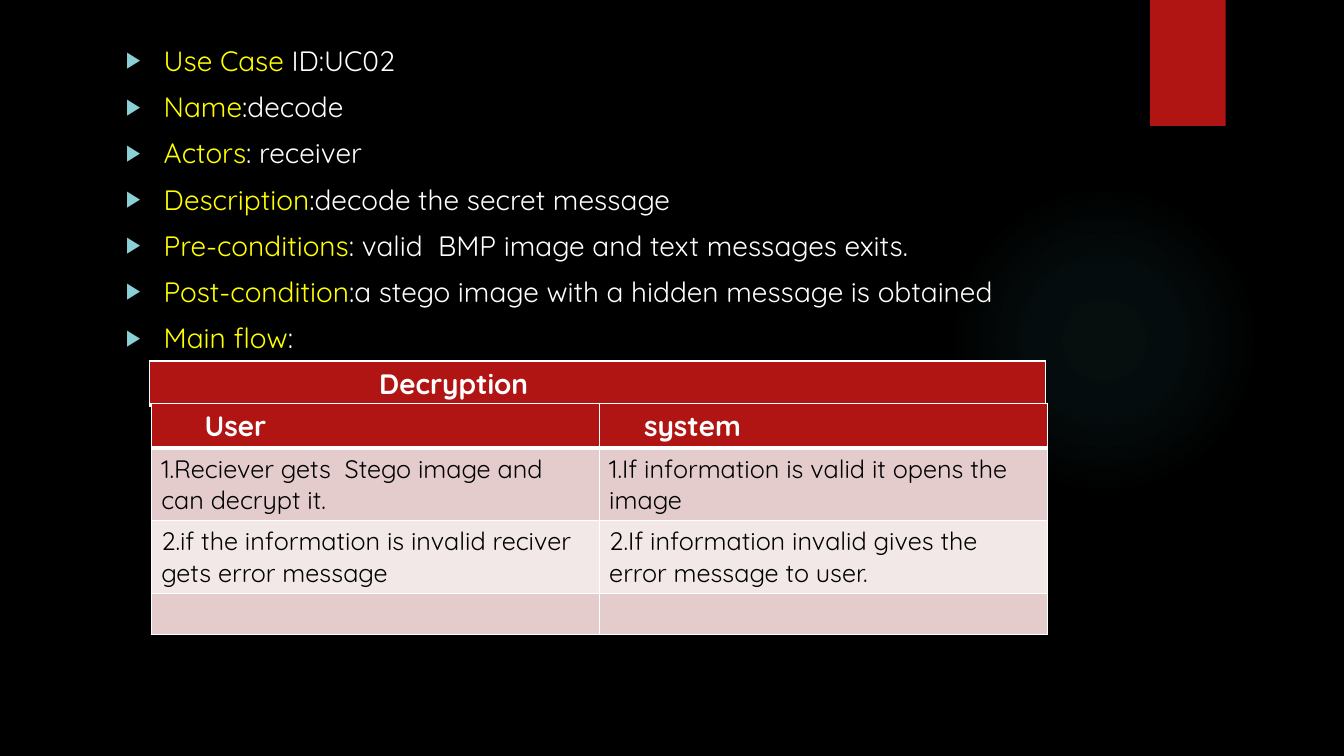
from lxml.etree import SubElement
from pptx import Presentation
from pptx.dml.color import RGBColor
from pptx.enum.shapes import MSO_SHAPE
from pptx.oxml.ns import qn
from pptx.util import Pt

BLACK = RGBColor(0x00, 0x00, 0x00)
WHITE = RGBColor(0xFF, 0xFF, 0xFF)
YELLOW = RGBColor(0xFF, 0xFF, 0x00)
RED = RGBColor(0xB0, 0x15, 0x13)
TEAL = RGBColor(0x50, 0xB9, 0xC1)
AQUA = RGBColor(0x8A, 0xD0, 0xD6)
ROSE = RGBColor(0xE4, 0xCC, 0xCC)
PALE_ROSE = RGBColor(0xF2, 0xE8, 0xE7)

HEADING = {"size": Pt(20), "bold": True}
ENTRY = {"size": Pt(18), "bold": False}

USE_CASE = [
    ("Use Case ", "ID:UC02"),
    ("Name", ":decode"),
    ("Actors", ": receiver"),
    ("Description", ":decode the secret message"),
    ("Pre-conditions", ": valid  BMP image and text messages exits."),
    ("Post-condition", ":a stego image with a hidden message is obtained"),
    ("Main flow", ":"),
]
FLOW = [
    ("User", "system"),
    ("1.Reciever gets  Stego image and can decrypt it.",
     "1.If information is valid it opens the image"),
    ("2.if the information is invalid reciver gets error message",
     "2.If information invalid gives the error message to user."),
    ("", ""),
]


def add_node(parent, tag, **attributes):
    return SubElement(parent, qn(tag), {key: str(value) for key, value in attributes.items()})


def add_color(parent, color, **effects):
    srgb = add_node(parent, "a:srgbClr", val=color)
    for effect, value in effects.items():
        add_node(srgb, f"a:{effect}", val=value)


class UseCaseSlide:
    font_name = "Quicksand"

    def __init__(self, deck):
        self.slide = deck.slides.add_slide(deck.slide_layouts[6])
        self.slide.background.fill.solid()
        self.slide.background.fill.fore_color.rgb = BLACK

    def add_words(self, paragraph, text, color, style):
        run = paragraph.add_run()
        run.text = text
        run.font.color.rgb = color
        for attribute, value in {"name": self.font_name, **style}.items():
            setattr(run.font, attribute, value)

    def block(self, kind, left, top, width, height, color):
        block = self.slide.shapes.add_shape(kind, Pt(left), Pt(top), Pt(width), Pt(height))
        block.shadow.inherit = False
        block.fill.solid()
        block.fill.fore_color.rgb = color
        block.line.fill.background()
        return block

    def glow(self, left, top, size, color, stops):
        glow = self.block(MSO_SHAPE.OVAL, left, top, size, size, color)
        properties = glow.fill._xPr
        solid = properties.find(qn("a:solidFill"))
        gradient = add_node(properties, "a:gradFill", rotWithShape=1)
        properties.replace(solid, gradient)
        stop_list = add_node(gradient, "a:gsLst")
        for position, opacity in stops:
            stop = add_node(stop_list, "a:gs", pos=position * 1000)
            add_color(stop, color, alpha=opacity * 1000)
        center = add_node(gradient, "a:path", path="circle")
        add_node(center, "a:fillToRect", l=50000, t=50000, r=50000, b=50000)

    def bullets(self, left, top, width, height, items):
        frame = self.slide.shapes.add_textbox(Pt(left), Pt(top), Pt(width), Pt(height)).text_frame
        frame.word_wrap = True
        for index, (label, detail) in enumerate(items):
            paragraph = frame.add_paragraph() if index else frame.paragraphs[0]
            paragraph.space_before = Pt(9)
            properties = paragraph._p.get_or_add_pPr()
            properties.set("marL", str(Pt(27)))
            properties.set("indent", str(-Pt(27)))
            add_color(add_node(properties, "a:buClr"), AQUA)
            add_node(properties, "a:buSzPct", val=80000)
            add_node(properties, "a:buFont", typeface="Arial")
            add_node(properties, "a:buChar", char="▶")
            self.add_words(paragraph, label, YELLOW, {"size": Pt(20)})
            self.add_words(paragraph, detail, WHITE, {"size": Pt(20)})

    def borders(self, cell, widths):
        properties = cell._tc.get_or_add_tcPr()
        for side, width in widths.items():
            line = add_node(properties, f"a:ln{side}", w=Pt(width))
            add_color(add_node(line, "a:solidFill"), WHITE)

    def table(self, left, top, width, heights, rows, heading_indents):
        grid = self.slide.shapes.add_table(
            len(rows), len(rows[0]), Pt(left), Pt(top), Pt(width), Pt(sum(heights))).table
        for row, (height, texts) in enumerate(zip(heights, rows)):
            grid.rows[row].height = Pt(height)
            for column, text in enumerate(texts):
                cell = grid.cell(row, column)
                self.borders(cell, {"L": 1, "R": 1, "T": 3 if row == 1 else 1,
                                    "B": 1 if row else 3})
                cell.fill.solid()
                if row:
                    cell.fill.fore_color.rgb = ROSE if row % 2 else PALE_ROSE
                else:
                    cell.fill.fore_color.rgb = RED
                    cell.margin_left = Pt(7.2 + heading_indents[column])
                if text:
                    self.add_words(cell.text_frame.paragraphs[0], text,
                                   BLACK if row else WHITE, ENTRY if row else HEADING)


def main():
    deck = Presentation()
    deck.slide_width, deck.slide_height = Pt(960), Pt(540)
    page = UseCaseSlide(deck)
    page.glow(677.5, 131.8, 221.8, TEAL, [(0, 7), (36, 6), (69, 0)])
    page.block(MSO_SHAPE.RECTANGLE, 821.5, 0, 54, 90, RED)
    page.bullets(82.8, 27.4, 704.2, 330.5, USE_CASE)
    page.table(106.6, 257.8, 640, [31], [("Decryption",)], [157])
    page.table(108, 288, 640, [32, 52, 52, 29.5], FLOW, [31, 25])
    deck.save("out.pptx")


if __name__ == "__main__":
    main()
